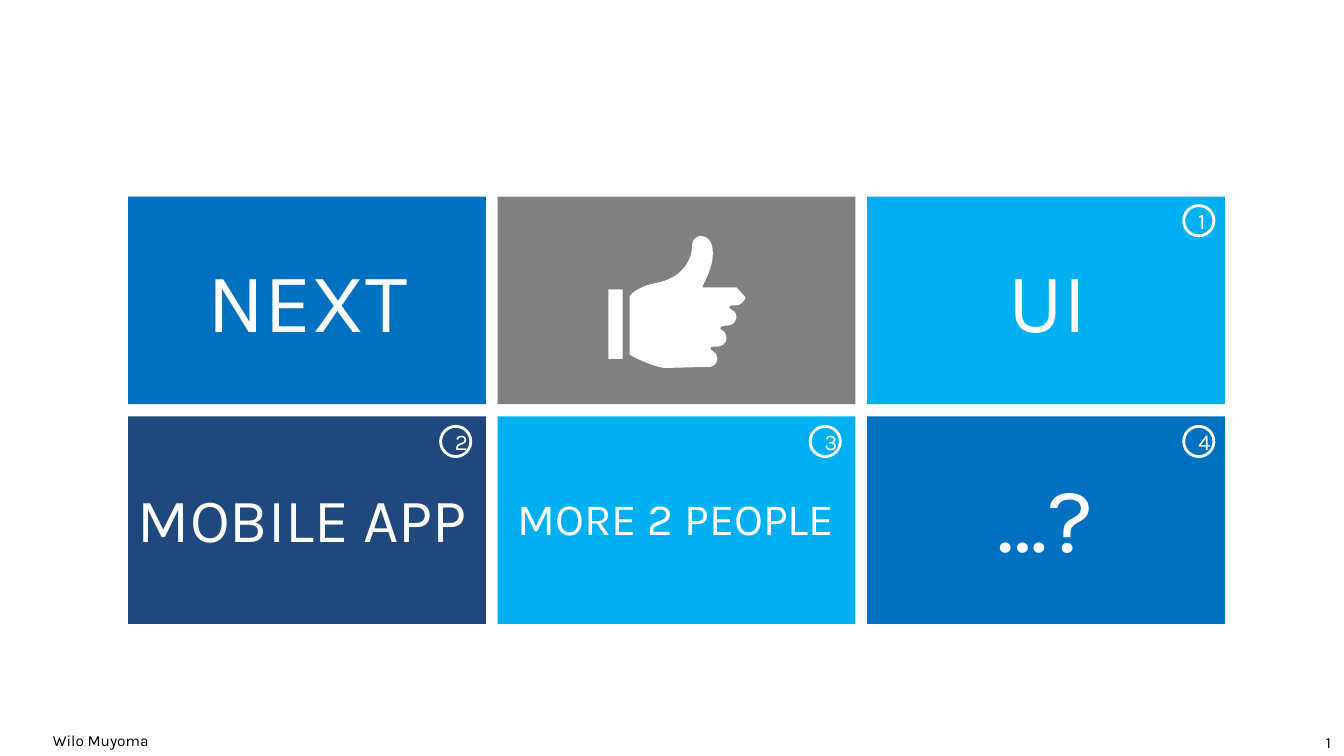
from lxml import etree
from pptx import Presentation
from pptx.dml.color import RGBColor
from pptx.enum.shapes import MSO_SHAPE
from pptx.enum.text import MSO_ANCHOR, MSO_AUTO_SIZE, PP_ALIGN
from pptx.oxml.ns import qn
from pptx.util import Inches, Pt

COLORS = {"blue": "0070C0", "sky": "00B0F0", "navy": "1F497D",
          "gray": "808080", "white": "FFFFFF", "black": "000000"}
FONT = "Karla"
TILE_W, TILE_H = 3.55, 2.06
LABEL_W = 3.54
GRID_LEFT, GRID_TOP = 1.27, 1.95
PITCH_X, PITCH_Y = 3.665, 2.18
BADGE = 0.3

TILES = [
    ("blue", "NEXT", 60, PP_ALIGN.CENTER, (0.01, 0.47), None, None),
    ("gray", None, None, None, None, None, None),
    ("sky", "UI", 60, PP_ALIGN.CENTER, (0.02, 0.47), "1", (3.14, 0.09)),
    ("navy", "MOBILE APP", 44, PP_ALIGN.LEFT, (0, 0.59), "2", (3.1, 0.1)),
    ("sky", "MORE 2 PEOPLE", 32, PP_ALIGN.CENTER, (0, 0.69), "3", (3.1, 0.1)),
    ("blue", "…?", 66, PP_ALIGN.CENTER, (0, 0.39), "4", (3.14, 0.1)),
]

CUFF = [(0, 1.22), (0, 0.53), (0.14, 0.53), (0.14, 1.22)]
HAND_START = (1.27, 0.51)
HAND_CURVES = [
    (1.27, 0.51, 1.1, 0.51, 0.93, 0.51),
    (0.96, 0.44, 1, 0.37, 1.01, 0.32),
    (1.05, 0.21, 1.06, 0.01, 0.92, 0),
    (0.87, 0, 0.83, 0.04, 0.83, 0.09),
    (0.83, 0.27, 0.7, 0.43, 0.46, 0.47),
    (0.35, 0.49, 0.24, 0.55, 0.21, 0.6),
    (0.21, 0.72, 0.21, 1.18, 0.21, 1.18),
    (0.21, 1.18, 0.45, 1.31, 0.57, 1.31),
    (0.58, 1.31, 0.98, 1.3, 0.98, 1.3),
    (1.03, 1.31, 1.08, 1.27, 1.08, 1.22),
    (1.08, 1.18, 1.06, 1.15, 1.03, 1.14),
    (1.02, 1.13, 1.01, 1.13, 1.01, 1.12),
    (1.01, 1.11, 1.02, 1.1, 1.03, 1.1),
    (1.03, 1.1, 1.07, 1.1, 1.07, 1.1),
    (1.12, 1.1, 1.17, 1.07, 1.17, 1.02),
    (1.17, 0.98, 1.16, 0.95, 1.12, 0.93),
    (1.11, 0.93, 1.11, 0.92, 1.11, 0.91),
    (1.11, 0.9, 1.11, 0.9, 1.12, 0.9),
    (1.12, 0.9, 1.16, 0.89, 1.16, 0.89),
    (1.22, 0.9, 1.26, 0.86, 1.27, 0.81),
    (1.27, 0.77, 1.25, 0.74, 1.22, 0.73),
    (1.2, 0.72, 1.2, 0.72, 1.2, 0.71),
    (1.2, 0.7, 1.21, 0.69, 1.22, 0.69),
    (1.22, 0.69, 1.26, 0.69, 1.26, 0.69),
    (1.31, 0.69, 1.35, 0.65, 1.36, 0.61),
    (1.36, 0.56, 1.33, 0.52, 1.27, 0.51),
]


def rgb(name):
    """Return the named colour."""
    return RGBColor.from_string(COLORS[name])


def write(sp, text, size, color, align):
    """Put one formatted line of text into a shape."""
    tf = sp.text_frame
    tf.word_wrap = True
    tf.text = text
    p = tf.paragraphs[0]
    p.alignment = align
    f = p.runs[0].font
    f.name, f.size, f.color.rgb = FONT, Pt(size), rgb(color)
    return tf


def fill_plain(sp, color):
    """Give a shape a flat fill without line or shadow."""
    sp.shadow.inherit = False
    sp.fill.solid()
    sp.fill.fore_color.rgb = rgb(color)
    sp.line.fill.background()


def add_badge(s, x, y, number):
    """Draw a numbered ring with its corner at x, y."""
    sp = s.shapes.add_shape(MSO_SHAPE.OVAL, Inches(x), Inches(y),
                            Inches(BADGE), Inches(BADGE))
    sp.shadow.inherit = False
    sp.fill.background()
    sp.line.color.rgb = rgb("white")
    sp.line.width = Pt(2)
    tf = write(sp, number, 16, "white", PP_ALIGN.CENTER)
    tf.vertical_anchor = MSO_ANCHOR.MIDDLE


def add_tile(s, x, y, color, label, size, align, label_at, number, badge_at):
    """Draw a tile with its optional label and badge."""
    sp = s.shapes.add_shape(MSO_SHAPE.RECTANGLE, Inches(x), Inches(y),
                            Inches(TILE_W), Inches(TILE_H))
    fill_plain(sp, color)
    if label:
        dx, dy = label_at
        box = s.shapes.add_textbox(Inches(x + dx), Inches(y + dy), Inches(LABEL_W),
                                   Inches(0.1 + size * 1.21 / 72))
        tf = write(box, label, size, "white", align)
        tf.auto_size = MSO_AUTO_SIZE.SHAPE_TO_FIT_TEXT
    if number:
        dx, dy = badge_at
        add_badge(s, x + dx, y + dy, number)


def bend(line, curve):
    """Turn a straight path segment into a cubic curve."""
    line.clear()
    line.tag = qn("a:cubicBezTo")
    for px, py in zip(curve[::2], curve[1::2]):
        etree.SubElement(line, qn("a:pt"), x=str(Inches(px)), y=str(Inches(py)))


def add_thumb(s, x, y):
    """Draw the thumbs-up icon with its corner at x, y."""
    hand = [HAND_START] + [curve[4:] for curve in HAND_CURVES]
    cuff_pts, hand_pts = ([(Inches(x + px), Inches(y + py)) for px, py in outline]
                          for outline in (CUFF, hand))
    builder = s.shapes.build_freeform(*cuff_pts[0])
    builder.add_line_segments(cuff_pts[1:])
    builder.move_to(*hand_pts[0])
    builder.add_line_segments(hand_pts[1:])
    sp = builder.convert_to_shape()
    fill_plain(sp, "white")
    lines = list(sp._element.iter(qn("a:lnTo")))[len(CUFF):]
    for line, curve in zip(lines, HAND_CURVES):
        bend(line, curve)


def add_footer_text(s, x, y, w, h, text, align):
    """Place a small footer line in its box."""
    box = s.shapes.add_textbox(Inches(x), Inches(y), Inches(w), Inches(h))
    tf = write(box, text, 11, "black", align)
    tf.vertical_anchor = MSO_ANCHOR.MIDDLE
    tf.margin_left = tf.margin_right = Inches(0.13)
    tf.margin_top = tf.margin_bottom = Inches(0.06)
    return tf.paragraphs[0].runs[0]


def make_slide_number(r):
    """Turn a run into a slide number field."""
    r._r.tag = qn("a:fld")
    r._r.set("id", "{B6F15528-21DE-4FAA-801E-634DDDAF4B2B}")
    r._r.set("type", "slidenum")


def add_footer(s):
    """Place the author and the slide number."""
    make_slide_number(add_footer_text(s, 12.33, 7.22, 1, 0.29, "1", PP_ALIGN.RIGHT))
    add_footer_text(s, 0, 7.18, 2, 0.32, "Wilo Muyoma", PP_ALIGN.CENTER)


def add_grid(s, x, y):
    """Lay out the tiles in three columns and add the icon."""
    for i, tile in enumerate(TILES):
        row, col = divmod(i, 3)
        add_tile(s, x + col * PITCH_X, y + row * PITCH_Y, *tile)
    add_thumb(s, x + PITCH_X + 1.1, y + 0.39)


def main():
    """Build and save the slide."""
    prs = Presentation()
    prs.slide_width, prs.slide_height = Inches(13.33), Inches(7.5)
    s = prs.slides.add_slide(prs.slide_layouts[6])
    add_footer(s)
    add_grid(s, GRID_LEFT, GRID_TOP)
    prs.save("out.pptx")


if __name__ == "__main__":
    main()
